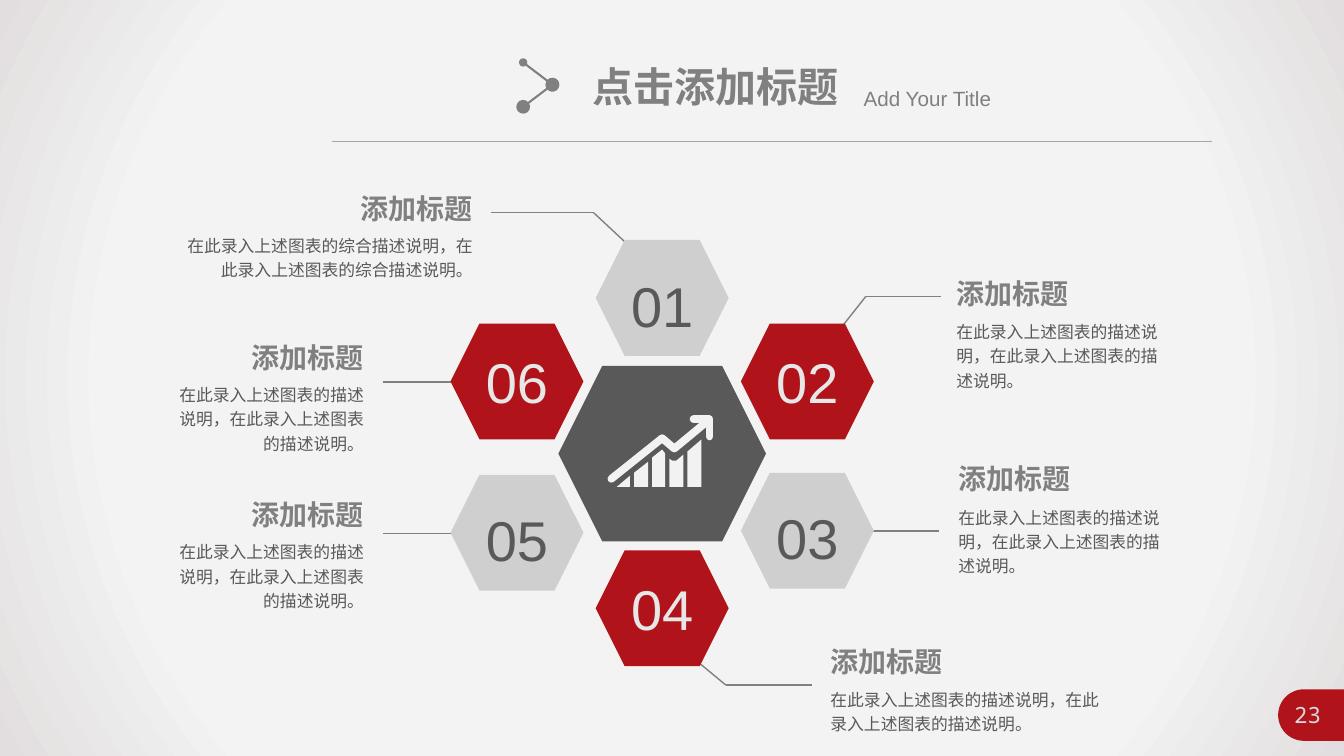
import math
from itertools import pairwise

from lxml import etree
from pptx import Presentation
from pptx.dml.color import RGBColor
from pptx.enum.shapes import MSO_CONNECTOR, MSO_SHAPE
from pptx.enum.text import MSO_ANCHOR, MSO_AUTO_SIZE, PP_ALIGN
from pptx.oxml.ns import qn
from pptx.util import Pt

STRAIGHT = MSO_CONNECTOR.STRAIGHT
HEXAGON, RECTANGLE = MSO_SHAPE.HEXAGON, MSO_SHAPE.RECTANGLE
LEFT, CENTER, RIGHT = PP_ALIGN.LEFT, PP_ALIGN.CENTER, PP_ALIGN.RIGHT
TOP, MIDDLE = MSO_ANCHOR.TOP, MSO_ANCHOR.MIDDLE

RED = RGBColor(0xB0, 0x13, 0x19)
SILVER = RGBColor(0xCF, 0xCF, 0xCF)
CHARCOAL = RGBColor(0x59, 0x59, 0x59)
GREY = RGBColor(0x80, 0x80, 0x80)
RULE_GREY = RGBColor(0xA6, 0xA6, 0xA6)
PALE = RGBColor(0xE7, 0xE7, 0xE7)
PAGE_GREY = RGBColor(0xD9, 0xD9, 0xD9)
ICON_WHITE = RGBColor(0xF2, 0xF2, 0xF2)
BACKDROP_STOPS = [(0, "F5F5F5"), (73, "F3F3F3"), (100, "E2DEDF")]

# Content
TITLE, SUBTITLE, PAGE = "点击添加标题", "Add Your Title", "23"
HEADING = "添加标题"
LONG_TEXT = "在此录入上述图表的综合描述说明，在此录入上述图表的综合描述说明。"
TEXT = "在此录入上述图表的描述说明，在此录入上述图表的描述说明。"

# number, hexagon column and top, description, its left, top, width and side, leader
ITEMS = [
    ("01", 1, 171.4, LONG_TEXT, 115.2, 133.2, 229.7, RIGHT,
     [(350.6, 152), (424.1, 152), (446.4, 172.8)]),
    ("02", 2, 231.1, TEXT, 676.1, 193.7, 160.6, LEFT,
     [(602.6, 231.8), (618.5, 211.7), (672.5, 211.7)]),
    ("03", 2, 337.7, TEXT, 677.5, 326.2, 160.6, LEFT,
     [(622.8, 379.4), (671, 379.4)]),
    ("04", 1, 393.1, TEXT, 586.1, 456.5, 210.2, LEFT,
     [(499.7, 473.8), (518.4, 489.3), (580.3, 489.3)]),
    ("05", 0, 339.1, TEXT, 115.2, 352.1, 151.9, RIGHT,
     [(273.6, 380.9), (321.8, 380.9)]),
    ("06", 0, 231.1, TEXT, 115.2, 239.8, 151.9, RIGHT,
     [(273.6, 272.9), (321.8, 272.9)]),
]
COLUMN_LEFT, COLUMN_PITCH = 321.8, 103.7
HEX_WIDTH, HEX_HEIGHT = 95, 82.8

# Growth icon: top edges of the bars, then the arrow strokes
BAR_BOTTOM = 347.8
BAR_TOPS = [
    [(440.6, 347.8), (450, 339.8)],
    [(452.9, 337.7), (463, 329.8)],
    [(465.8, 326.9), (473, 321.1), (475.2, 324)],
    [(478.1, 327.6), (480.2, 329), (483.1, 329), (488.2, 324.7)],
    [(491, 322.6), (501.1, 313.9)],
]
ARROW_STROKES = [
    [(436.7, 342), (473, 313), (481.7, 320.4), (506.5, 299.9)],
    [(495.4, 299.5), (506.9, 299.5), (506.9, 311.8)],
]
EMBLEM = [((373.7, 44.6), (394.6, 60.5), "med"), ((394.6, 60.5), (373.7, 76.3), "lg")]

# Text formats
CJK = "Noto Sans CJK SC"
TITLE_FONT = dict(name="Arial", size=Pt(29.3), bold=True)
SUBTITLE_FONT = dict(name="Arial", size=Pt(14.7), bold=False)
HEADING_FONT = dict(name=CJK, size=Pt(20), bold=True)
TEXT_FONT = dict(name=CJK, size=Pt(12), bold=False)
NUMBER_FONT = dict(name="Arial", size=Pt(40), bold=False)
PAGE_FONT = dict(name="Noto Sans Mono", size=Pt(16), bold=False)

prs = Presentation()
prs.slide_width, prs.slide_height = Pt(960), Pt(540)
slide = prs.slides.add_slide(prs.slide_layouts[5])
shapes = slide.shapes


def write(shape, text, font_values, color, align=LEFT, spacing=1.0, anchor=TOP):
    frame = shape.text_frame
    frame_values = dict(word_wrap=True, auto_size=MSO_AUTO_SIZE.NONE, vertical_anchor=anchor)
    for key, value in frame_values.items():
        setattr(frame, key, value)
    paragraph = frame.paragraphs[0]
    paragraph.alignment, paragraph.line_spacing = align, spacing
    run = paragraph.add_run()
    run.text = text
    for key, value in font_values.items():
        setattr(run.font, key, value)
    run.font.color.rgb = color
    etree.SubElement(run._r.get_or_add_rPr(), qn("a:ea"), typeface=CJK)


def add_text(box, *args, **formats):
    write(shapes.add_textbox(*map(Pt, box)), *args, **formats)


def paint(shape, color):
    shape.shadow.inherit = False
    shape.fill.solid()
    shape.fill.fore_color.rgb = color
    shape.line.fill.background()


def add_hexagon(left, top, width, height, color):
    hexagon = shapes.add_shape(HEXAGON, Pt(left), Pt(top), Pt(width), Pt(height))
    paint(hexagon, color)
    return hexagon


def add_outline(points, close=True):
    start, *rest = [(Pt(x), Pt(y)) for x, y in points]
    builder = shapes.build_freeform(*start)
    builder.add_line_segments(rest, close=close)
    return builder.convert_to_shape()


def add_line(start, end, color=GREY, width=1, dots=()):
    line = shapes.add_connector(STRAIGHT, *map(Pt, start + end))
    line.line.color.rgb = color
    line.line.width = Pt(width)
    for tag, size in dots:
        etree.SubElement(line.line._get_or_add_ln(), qn(tag), type="oval", w=size, len=size)
    etree.SubElement(line._element.spPr, qn("a:effectLst"))


# Backdrop with a radial gradient, behind everything
backdrop = shapes.add_shape(RECTANGLE, 0, 0, prs.slide_width, prs.slide_height)
paint(backdrop, ICON_WHITE)
gradient = etree.Element(qn("a:gradFill"), rotWithShape="1")
stops = etree.SubElement(gradient, qn("a:gsLst"))
for percent, shade in BACKDROP_STOPS:
    stop = etree.SubElement(stops, qn("a:gs"), pos=str(percent * 1000))
    etree.SubElement(stop, qn("a:srgbClr"), val=shade)
radial = etree.SubElement(gradient, qn("a:path"), path="circle")
etree.SubElement(radial, qn("a:fillToRect"), dict.fromkeys("ltrb", "50000"))
solid = backdrop._element.spPr.find(qn("a:solidFill"))
solid.getparent().replace(solid, gradient)
shapes._spTree.insert(2, backdrop._element)

# Header
title = shapes.title
title.left, title.top, title.width, title.height = map(Pt, (416.2, 40.3, 200, 42.5))
write(title, TITLE, TITLE_FONT, GREY)
add_text((609.8, 57.6, 181.4, 25.2), SUBTITLE, SUBTITLE_FONT, GREY)
add_line((236.9, 100.8), (865.4, 100.8), RULE_GREY, 0.5)
for start, end, first_dot in EMBLEM:
    add_line(start, end, width=1.5, dots=[("a:headEnd", first_dot), ("a:tailEnd", "lg")])

# Page number on a tab with a round left end
tab_x, tab_y, tab_radius = 931.4, 510.8, 18.4
round_end = [(tab_x - tab_radius * math.sin(math.radians(angle)),
              tab_y - tab_radius * math.cos(math.radians(angle)))
             for angle in range(0, 181, 6)]
paint(add_outline(round_end + [(960, tab_y + tab_radius), (960, tab_y - tab_radius)]), RED)
add_text((910.3, 497.5, 47.5, 26.6), PAGE, PAGE_FONT, PAGE_GREY, align=CENTER)

# Six numbered hexagons with leaders and descriptions
for number, column, top, text, left, text_top, width, side, leader in ITEMS:
    for start, end in pairwise(leader):
        add_line(start, end)
    is_red = int(number) % 2 == 0
    hexagon = add_hexagon(COLUMN_LEFT + column * COLUMN_PITCH, top, HEX_WIDTH, HEX_HEIGHT,
                          RED if is_red else SILVER)
    for margin in ("margin_left", "margin_right", "margin_top", "margin_bottom"):
        setattr(hexagon.text_frame, margin, 0)
    write(hexagon, number, NUMBER_FONT, PALE if is_red else CHARCOAL, CENTER,
          1.0 if is_red else 1.2, MIDDLE)
    add_text((left, text_top, width, 31.7), HEADING, HEADING_FONT, GREY, align=side)
    text_gap = 28.8 if side == RIGHT else 29.9
    add_text((left, text_top + text_gap, width, 59.8), text, TEXT_FONT, CHARCOAL,
             align=side, spacing=1.2)

# Central hexagon with the growth icon
add_hexagon(398.9, 261.4, 148.3, 125.3, CHARCOAL)
for tops in BAR_TOPS:
    paint(add_outline(tops + [(tops[-1][0], BAR_BOTTOM), (tops[0][0], BAR_BOTTOM)]), ICON_WHITE)
for points in ARROW_STROKES:
    stroke = add_outline(points, close=False)
    stroke.shadow.inherit = False
    stroke.fill.background()
    stroke.line.color.rgb = ICON_WHITE
    stroke.line.width = Pt(5.5)
    stroke_line = stroke.line._get_or_add_ln()
    stroke_line.set("cap", "rnd")
    etree.SubElement(stroke_line, qn("a:round"))

prs.save("out.pptx")
